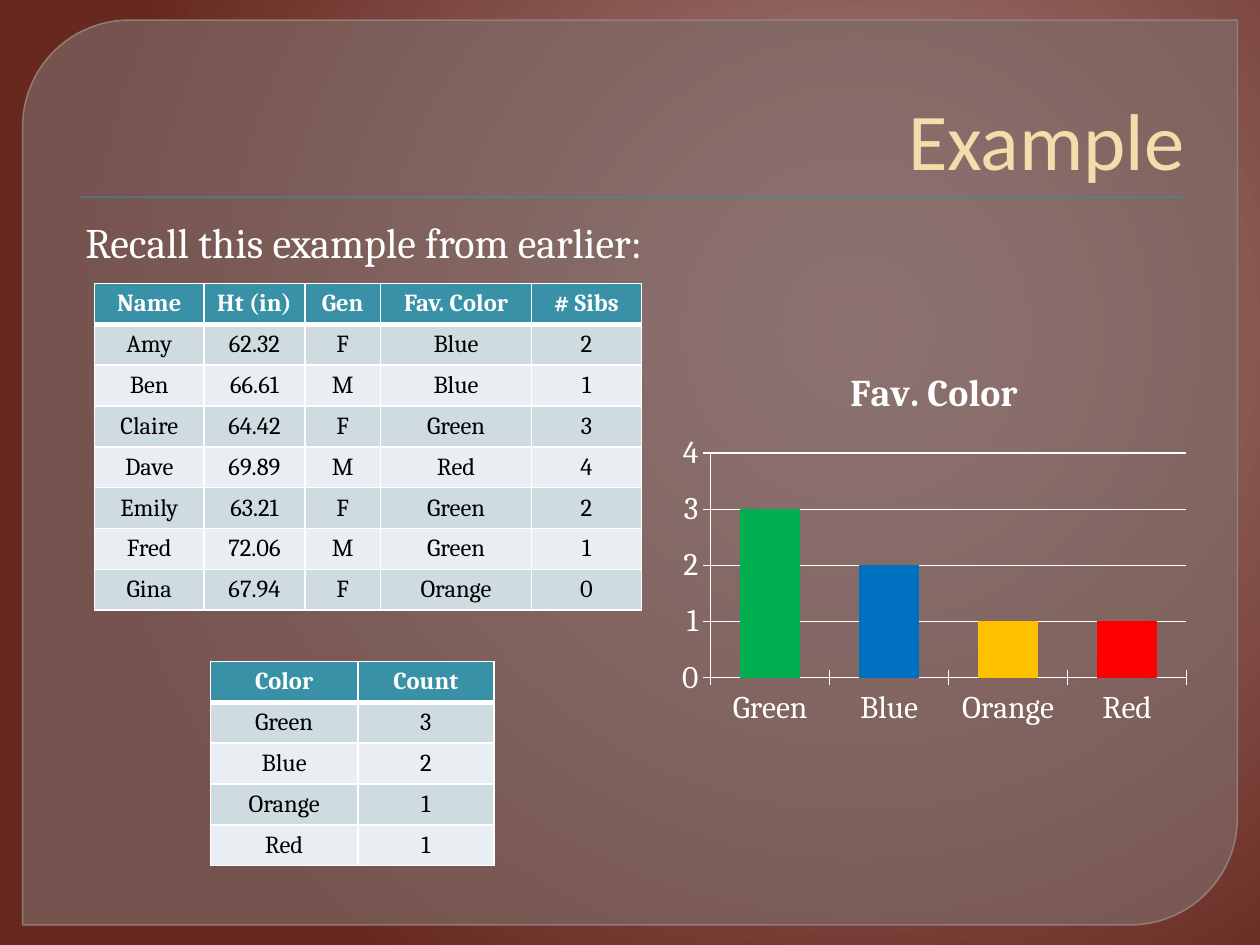
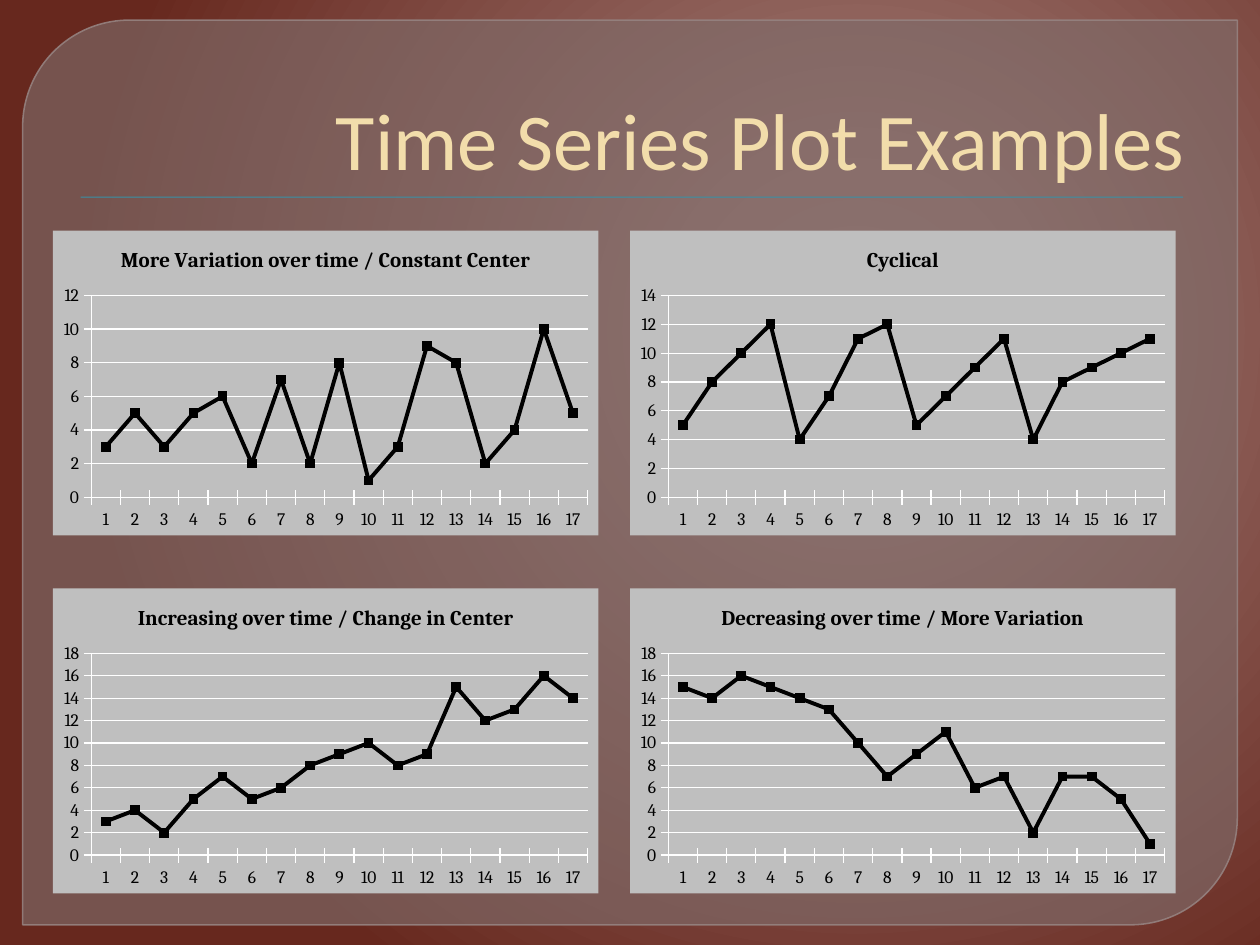
"""Build two slides on summarising data: a frequency example and time series plots."""
from pptx import Presentation
from pptx.chart.data import CategoryChartData
from pptx.dml.color import RGBColor
from pptx.enum.chart import XL_CHART_TYPE, XL_MARKER_STYLE, XL_TICK_MARK
from pptx.enum.shapes import MSO_SHAPE
from pptx.enum.text import MSO_ANCHOR, MSO_AUTO_SIZE, PP_ALIGN
from pptx.oxml import parse_xml
from pptx.oxml.ns import nsdecls, qn
from pptx.util import Inches, Pt

COLORS = {
    "glow": "A7827D", "rose": "9C7570", "maroon": "67281E",
    "panel": "7F6B69", "panel_edge": "968381", "teal": "3891A7",
    "title": "F2DDAB", "white": "FFFFFF", "black": "000000",
    "band_dark": "CEDCE1", "band_light": "E8EEF1", "plot_gray": "BFBFBF",
    "green": "00B050", "blue": "0070C0", "orange": "FFC000", "red": "FF0000",
}
RGB = {name: RGBColor.from_string(value) for name, value in COLORS.items()}
TITLE_FONT, BODY_FONT = "Calibri", "Cambria"


def add_data_table(slide, left, top, column_widths, rows):
    frame = slide.shapes.add_table(
        len(rows), len(column_widths), Inches(left), Inches(top),
        Inches(sum(column_widths)), Inches(0.32 * len(rows)))
    table = frame.table
    for column, width in zip(table.columns, column_widths):
        column.width = Inches(width)
    for row_number, values in enumerate(rows):
        header = row_number == 0
        band = "teal" if header else ("band_light", "band_dark")[row_number % 2]
        for column_number, value in enumerate(values):
            cell = table.cell(row_number, column_number)
            properties = cell._tc.get_or_add_tcPr()
            for side in "LRTB":
                heavy = (header and side == "B") or (row_number == 1 and side == "T")
                properties.append(parse_xml(
                    f'<a:ln{side} {nsdecls("a")} w="{Pt(3 if heavy else 1)}"><a:solidFill>'
                    f'<a:srgbClr val="{COLORS["white"]}"/></a:solidFill></a:ln{side}>'))
            cell.fill.solid()
            cell.fill.fore_color.rgb = RGB[band]
            cell.text_frame.text = value
            paragraph = cell.text_frame.paragraphs[0]
            paragraph.alignment = PP_ALIGN.CENTER
            font = paragraph.runs[0].font
            font.name, font.size, font.bold = BODY_FONT, Pt(14), header
            font.color.rgb = RGB["white" if header else "black"]


def add_plot(slide, kind, box, heading, series_name, categories, values,
             ink, title_size, axis_size, background=None):
    data = CategoryChartData()
    data.categories = categories
    data.add_series(series_name, values)
    chart = slide.shapes.add_chart(kind, *map(Inches, box), data).chart
    chart.has_legend = False
    chart.font.name, chart.font.size = BODY_FONT, Pt(18)
    chart.font.color.rgb = RGB["white"]
    chart.chart_title.text_frame.text = heading
    title_font = chart.chart_title.text_frame.paragraphs[0].runs[0].font
    title_font.name, title_font.size, title_font.bold = BODY_FONT, Pt(title_size), True
    title_font.color.rgb = RGB[ink]
    chart.plots[0].vary_by_categories = False
    for axis in (chart.category_axis, chart.value_axis):
        axis.major_tick_mark = XL_TICK_MARK.CROSS
        axis.minor_tick_mark = XL_TICK_MARK.NONE
        font = axis.tick_labels.font
        font.name, font.size = BODY_FONT, Pt(axis_size)
        font.color.rgb = RGB[ink]
        axis.format.line.color.rgb = RGB["white"]
        axis.format.line.width = Pt(0.75)
    chart.category_axis.has_major_gridlines = False
    chart.value_axis.has_major_gridlines = True
    gridline = chart.value_axis.major_gridlines.format.line
    gridline.color.rgb, gridline.width = RGB["white"], Pt(0.75)
    area_fill = "<a:noFill/>"
    if background:
        area_fill = f'<a:solidFill><a:srgbClr val="{COLORS[background]}"/></a:solidFill>'
    area = chart.element.find(qn("c:chart"))
    area.addnext(parse_xml(
        f'<c:spPr {nsdecls("c", "a")}>{area_fill}<a:ln><a:noFill/></a:ln></c:spPr>'))
    area.find(qn("c:plotArea")).append(parse_xml(
        f'<c:spPr {nsdecls("c", "a")}><a:noFill/></c:spPr>'))
    return chart


deck = Presentation()
deck.slide_width, deck.slide_height = Inches(10), Inches(7.5)

slides = []
for heading in ("Example", "Time Series Plot Examples"):
    slide = deck.slides.add_slide(deck.slide_layouts[5])
    slides.append(slide)
    stops = "".join(
        f'<a:gs pos="{position * 1000}"><a:srgbClr val="{COLORS[name]}"/></a:gs>'
        for position, name in ((0, "glow"), (20, "rose"), (100, "maroon")))
    slide.element.cSld.insert(0, parse_xml(
        f'<p:bg {nsdecls("p", "a")}><p:bgPr><a:gradFill rotWithShape="1">'
        f'<a:gsLst>{stops}</a:gsLst><a:path path="circle">'
        '<a:fillToRect l="68000" t="35000" r="32000" b="65000"/></a:path>'
        '</a:gradFill><a:effectLst/></p:bgPr></p:bg>'))

    title = slide.shapes.title
    title.left, title.top = Inches(0.5), Inches(0.28)
    title.width, title.height = Inches(9), Inches(1.25)
    title.text_frame.text = heading
    title.text_frame.auto_size = MSO_AUTO_SIZE.NONE
    title.text_frame.vertical_anchor = MSO_ANCHOR.BOTTOM
    paragraph = title.text_frame.paragraphs[0]
    paragraph.alignment = PP_ALIGN.RIGHT
    font = paragraph.runs[0].font
    font.name, font.size = TITLE_FONT, Pt(46)
    font.color.rgb = RGB["title"]

    panel = slide.shapes.add_shape(
        MSO_SHAPE.ROUND_2_DIAG_RECTANGLE, Inches(0.18), Inches(0.16), Inches(9.64), Inches(7.18))
    panel.adjustments[0], panel.adjustments[1] = 0.118, 0
    panel.shadow.inherit = False
    panel.fill.solid()
    panel.fill.fore_color.rgb = RGB["panel"]
    panel.line.color.rgb, panel.line.width = RGB["panel_edge"], Pt(0.87)
    for tint, opacity in zip(panel.element.spPr.iter(qn("a:srgbClr")), (65, 88)):
        tint.append(parse_xml(f'<a:alpha {nsdecls("a")} val="{opacity * 1000}"/>'))

    title_rule = slide.shapes.add_shape(
        MSO_SHAPE.RECTANGLE, Inches(0.64), Inches(1.56), Inches(8.75), Inches(0.01))
    title_rule.shadow.inherit = False
    title_rule.fill.solid()
    title_rule.fill.fore_color.rgb = RGB["teal"]
    title_rule.line.fill.background()
    title_rule.element.spPr.find(qn("a:effectLst")).append(parse_xml(
        f'<a:outerShdw {nsdecls("a")} blurRad="{Pt(1)}" dist="{Pt(1)}" dir="5400000">'
        f'<a:srgbClr val="{COLORS["black"]}"><a:alpha val="75000"/></a:srgbClr></a:outerShdw>'))
    for backdrop in (panel, title_rule):
        title.element.addprevious(backdrop.element)

example, time_series = slides

color_counts = {"Green": 3, "Blue": 2, "Orange": 1, "Red": 1}
add_data_table(example, 1.67, 5.25, (1.17, 1.08), [
    ("Color", "Count"), *((color, str(count)) for color, count in color_counts.items())])
add_data_table(example, 0.75, 2.25, (0.87, 0.8, 0.6, 1.2, 0.87), [
    ("Name", "Ht (in)", "Gen", "Fav. Color", "# Sibs"),
    ("Amy", "62.32", "F", "Blue", "2"),
    ("Ben", "66.61", "M", "Blue", "1"),
    ("Claire", "64.42", "F", "Green", "3"),
    ("Dave", "69.89", "M", "Red", "4"),
    ("Emily", "63.21", "F", "Green", "2"),
    ("Fred", "72.06", "M", "Green", "1"),
    ("Gina", "67.94", "F", "Orange", "0"),
])

recall = example.shapes.add_textbox(Inches(0.58), Inches(1.67), Inches(4.82), Inches(0.5))
recall.text_frame.text = "Recall this example from earlier:"
recall.text_frame.word_wrap = False
recall.text_frame.auto_size = MSO_AUTO_SIZE.SHAPE_TO_FIT_TEXT
font = recall.text_frame.paragraphs[0].runs[0].font
font.name, font.size = BODY_FONT, Pt(24)
font.color.rgb = RGB["white"]

favorites = add_plot(
    example, XL_CHART_TYPE.COLUMN_CLUSTERED, (5.33, 2.75, 4.17, 3.08), "Fav. Color",
    "Fav. Color", list(color_counts), list(color_counts.values()), "white", 21.6, 18)
favorites.plots[0].gap_width = 100
favorites.value_axis.minimum_scale = 0
favorites.value_axis.maximum_scale = 4
favorites.value_axis.major_unit = 1
favorites.value_axis.tick_labels.number_format = "0"
favorites.value_axis.tick_labels.number_format_is_linked = False
color_bars = favorites.plots[0].series[0]
color_bars.format.fill.solid()
color_bars.format.fill.fore_color.rgb = RGB["blue"]
for index, color in enumerate(color_counts):
    bar_fill = color_bars.points[index].format.fill
    bar_fill.solid()
    bar_fill.fore_color.rgb = RGB[color.lower()]

patterns = [
    ("More Variation over time / Constant Center", "Series 1",
     (3, 5, 3, 5, 6, 2, 7, 2, 8, 1, 3, 9, 8, 2, 4, 10, 5)),
    ("Increasing over time / Change in Center", "Series 1",
     (3, 4, 2, 5, 7, 5, 6, 8, 9, 10, 8, 9, 15, 12, 13, 16, 14)),
    ("Cyclical", "Cyclical",
     (5, 8, 10, 12, 4, 7, 11, 12, 5, 7, 9, 11, 4, 8, 9, 10, 11)),
    ("Decreasing over time / More Variation", "Series 1",
     (15, 14, 16, 15, 14, 13, 10, 7, 9, 11, 6, 7, 2, 7, 7, 5, 1)),
]
periods = [str(period) for period in range(1, 18)]
for index, (heading, series_name, values) in enumerate(patterns):
    column, row = divmod(index, 2)
    box = (0.42 + 4.58 * column, 1.83 + 2.84 * row, 4.33, 2.42)
    trend = add_plot(
        time_series, XL_CHART_TYPE.LINE_MARKERS, box, heading, series_name,
        periods, values, "black", 12, 10, "plot_gray")
    observations = trend.plots[0].series[0]
    observations.smooth = False
    observations.format.line.color.rgb = RGB["black"]
    observations.format.line.width = Pt(2.25)
    observations.marker.style = XL_MARKER_STYLE.AUTOMATIC
    observations.marker.size = 5
    observations.marker.format.fill.solid()
    observations.marker.format.fill.fore_color.rgb = RGB["black"]
    observations.marker.format.line.color.rgb = RGB["black"]

deck.save("out.pptx")
